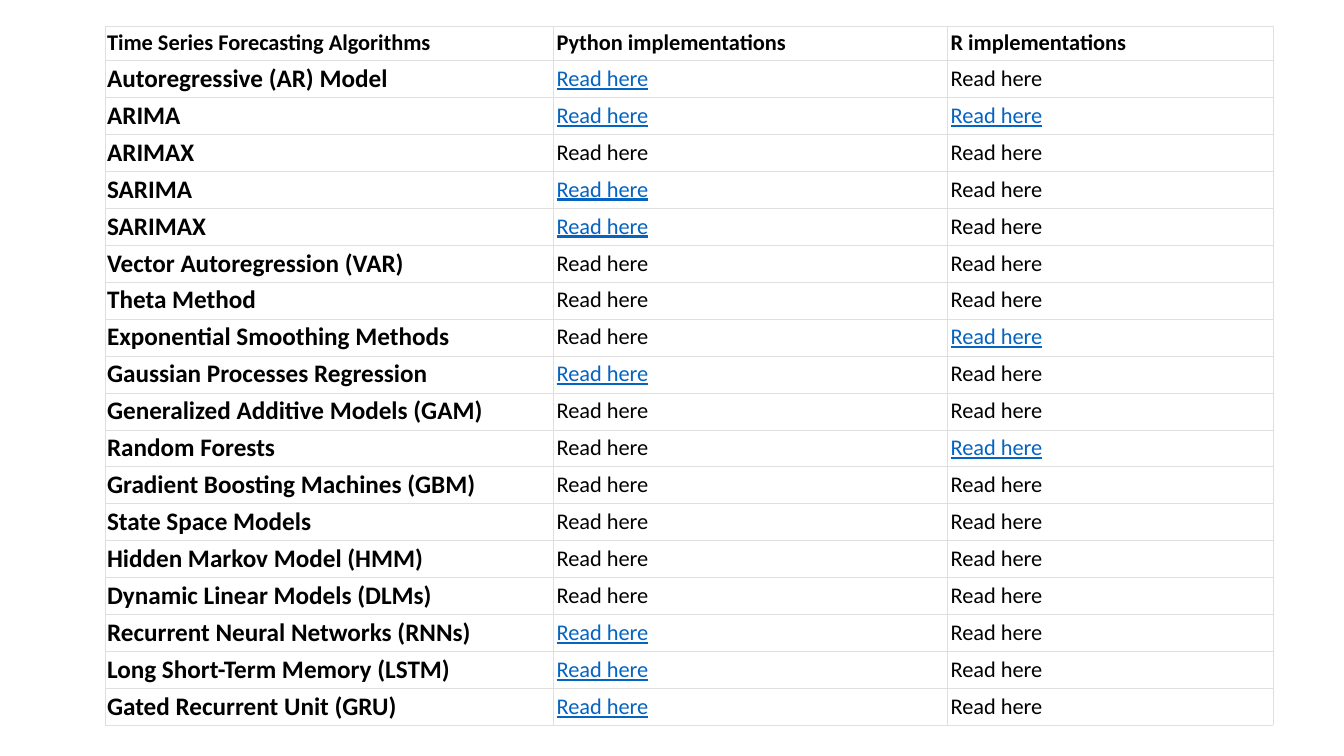
from lxml.etree import SubElement
from pptx import Presentation
from pptx.dml.color import RGBColor
from pptx.enum.text import MSO_ANCHOR
from pptx.oxml.ns import qn
from pptx.util import Pt

HEADS = ["Time Series Forecasting Algorithms", "Python implementations", "R implementations"]
MODELS = [
    ("Autoregressive (AR) Model", "P"),
    ("ARIMA", "PR"),
    ("ARIMAX", ""),
    ("SARIMA", "P"),
    ("SARIMAX", "P"),
    ("Vector Autoregression (VAR)", ""),
    ("Theta Method", ""),
    ("Exponential Smoothing Methods", "R"),
    ("Gaussian Processes Regression", "P"),
    ("Generalized Additive Models (GAM)", ""),
    ("Random Forests", "R"),
    ("Gradient Boosting Machines (GBM)", ""),
    ("State Space Models", ""),
    ("Hidden Markov Model (HMM)", ""),
    ("Dynamic Linear Models (DLMs)", ""),
    ("Recurrent Neural Networks (RNNs)", "P"),
    ("Long Short-Term Memory (LSTM)", "P"),
    ("Gated Recurrent Unit (GRU)", "P"),
]
WIDTHS = [320.4, 281.5, 232.6]
HEAD_H, ROW_H = 24.2, 26.4


def color(text):
    """Turn a hex string into a colour."""
    return RGBColor.from_string(text)


def frame(cell, tint="DFDFDF", width=0.18):
    """Draw a thin line on all four sides of a cell."""
    props = cell._tc.get_or_add_tcPr()
    for side in ("a:lnL", "a:lnR", "a:lnT", "a:lnB"):
        line = SubElement(props, qn(side), w=str(Pt(width)))
        fill = SubElement(line, qn("a:solidFill"))
        SubElement(fill, qn("a:srgbClr"), val=tint)


def write(cell, text, size=16, bold=False, link=False, side=2.2, edge=2.2):
    """Fill one cell with framed, formatted text."""
    frame(cell)
    cell.fill.solid()
    cell.fill.fore_color.rgb = color("FFFFFF")
    cell.vertical_anchor = MSO_ANCHOR.MIDDLE
    cell.margin_left = cell.margin_right = Pt(side)
    cell.margin_top = cell.margin_bottom = Pt(edge)
    cell.text_frame.text = text
    font = cell.text_frame.paragraphs[0].runs[0].font
    font.name, font.size = "Calibri", Pt(size)
    font.bold, font.underline = bold, link
    font.color.rgb = color("0563C1" if link else "000000")


def build_table(slide, left, top):
    """Place the table of algorithms with its corner at left, top."""
    high = HEAD_H + ROW_H * len(MODELS)
    shape = slide.shapes.add_table(len(MODELS) + 1, len(WIDTHS), Pt(left), Pt(top),
                                   Pt(sum(WIDTHS)), Pt(high))
    table = shape.table
    table.horz_banding = False
    for column, width in zip(table.columns, WIDTHS):
        column.width = Pt(width)
    for index, row in enumerate(table.rows):
        row.height = Pt(ROW_H if index else HEAD_H)
    for col, head in enumerate(HEADS):
        write(table.cell(0, col), head, bold=True, side=2.2 if col else 1.5)
    for row, (model, links) in enumerate(MODELS, 1):
        write(table.cell(row, 0), model, size=18, bold=True, side=1.5)
        for col, key in enumerate("PR", 1):
            write(table.cell(row, col), "Read here", link=key in links, edge=3.3)


def main():
    """Build the slide and save it."""
    deck = Presentation()
    deck.slide_width, deck.slide_height = Pt(960), Pt(540)
    slide = deck.slides.add_slide(deck.slide_layouts[6])
    build_table(slide, 75, 18.8)
    deck.save("out.pptx")


if __name__ == "__main__":
    main()
